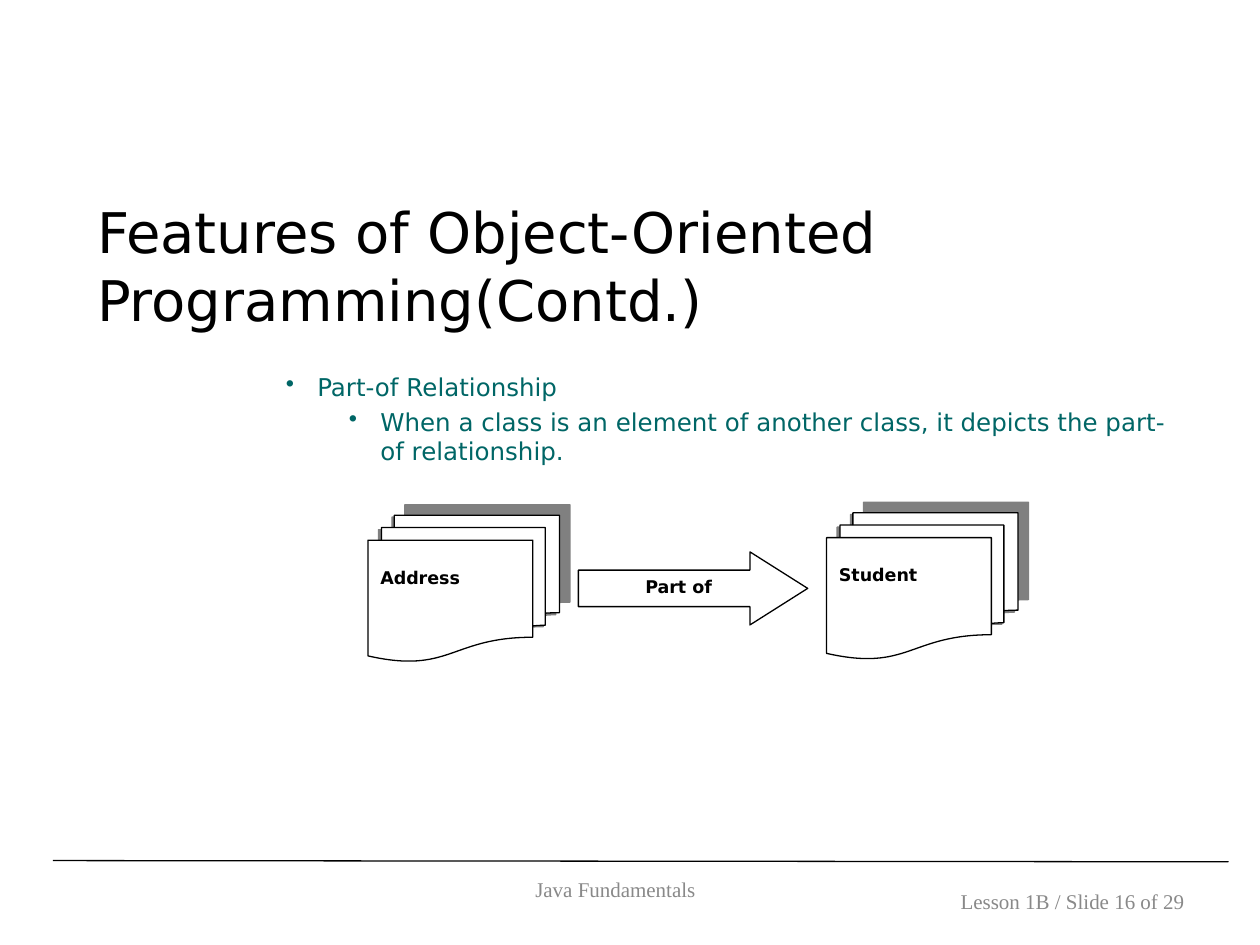
from lxml import etree
from pptx import Presentation
from pptx import util as u
from pptx.dml.color import RGBColor
from pptx.enum import shapes, text
from pptx.oxml import ns

COLOURS = {"ink": "000000", "paper": "FFFFFF", "teal": "006666",
           "footer": "898989", "shadow": "808080"}
SANS, SERIF = "DejaVu Sans", "Times New Roman"
LEFT, RIGHT = 0.67, 9.5  # content margins in inches
ALIGN, ANCHOR = text.PP_ALIGN, text.MSO_ANCHOR

TITLE = "Features of Object-Oriented Programming(Contd.)"
BULLETS = [
    (0, "Part-of Relationship"),
    (1, "When a class is an element of another class, "
        "it depicts the part-of relationship."),
]
CLASSES = [("Address", 2.92, 4.09), ("Student", 6.56, 4.07)]
RELATION = ("Part of", (4.59, 4.38, 1.82, 0.58))
FOOTERS = [
    ("Java Fundamentals", (3.3, 6.86, 3.17, 0.4), ALIGN.CENTER),
    ("Lesson 1B / Slide 16 of 29", (7.17, 6.95, 2.33, 0.4), ALIGN.RIGHT),
]
LABEL = {"name": SANS, "size": u.Pt(10), "bold": True}


def colour(key):
    return RGBColor.from_string(COLOURS[key])


def inches(box):
    return [u.Inches(length) for length in box]


def set_all(target, values):
    for name, value in values.items():
        setattr(target, name, value)


def write(paragraph, words, ink, font, align=ALIGN.LEFT):
    run = paragraph.add_run()
    run.text = words
    paragraph.alignment = align
    set_all(run.font, font)
    run.font.color.rgb = colour(ink)


def add_xml(parent, tag, **attributes):
    return etree.SubElement(parent, ns.qn(tag), attributes)


def add_bullet(paragraph, level):
    properties = paragraph._p.get_or_add_pPr()
    properties.set("marL", str(u.Inches(0.25 + 0.5 * level)))
    properties.set("indent", str(-u.Inches(0.25)))
    add_xml(add_xml(properties, "a:buClr"), "a:srgbClr", val=COLOURS["teal"])
    add_xml(properties, "a:buChar", char="•")


def add_box(slide, box, anchor):
    frame = slide.shapes.add_textbox(*inches(box)).text_frame
    set_all(frame, {"word_wrap": True, "vertical_anchor": anchor})
    return frame


def add_outlined(slide, kind, box, words, align, top_inset=0.05):
    shape = slide.shapes.add_shape(kind, *inches(box))
    shape.shadow.inherit = False
    shape.fill.solid()
    shape.fill.fore_color.rgb = colour("paper")
    shape.line.color.rgb = colour("ink")
    shape.line.width = u.Pt(0.75)
    frame = shape.text_frame
    set_all(frame, {"vertical_anchor": ANCHOR.TOP,
                    "margin_top": u.Inches(top_inset)})
    write(frame.paragraphs[0], words, "ink", LABEL, align)
    return shape


def add_hard_shadow(shape):
    effects = shape._element.spPr.find(ns.qn("a:effectLst"))
    shadow = add_xml(effects, "a:outerShdw", dist=str(u.Pt(8.5)),
                     dir=str(315 * 60000), algn="ctr", rotWithShape="0")
    add_xml(shadow, "a:srgbClr", val=COLOURS["shadow"])


def main():
    deck = Presentation()
    deck.slide_width, deck.slide_height = u.Inches(10), u.Inches(7.5)
    slide = deck.slides.add_slide(deck.slide_layouts[5])

    title = slide.shapes.title
    set_all(title, dict(zip(("left", "top", "width", "height"),
                            inches((LEFT, 1.52, RIGHT - LEFT, 1.2)))))
    set_all(title.text_frame, {"vertical_anchor": ANCHOR.TOP, "word_wrap": True,
                               "auto_size": text.MSO_AUTO_SIZE.NONE})
    write(title.text_frame.paragraphs[0], TITLE, "ink",
          {"name": SANS, "size": u.Pt(32)})

    bullets_left = LEFT + 1.5
    frame = add_box(slide, (bullets_left, 2.9, RIGHT - bullets_left, 0.9),
                    ANCHOR.TOP)
    for level, words in BULLETS:
        paragraph = frame.add_paragraph() if level else frame.paragraphs[0]
        set_all(paragraph, {"level": level, "space_before": u.Pt(3.5)})
        write(paragraph, words, "teal", {"name": SANS, "size": u.Pt(14)})
        add_bullet(paragraph, level)

    for name, left, top in CLASSES:
        add_hard_shadow(add_outlined(
            slide, shapes.MSO_SHAPE.FLOWCHART_MULTIDOCUMENT,
            (left, top, 1.52, 1.16), name, ALIGN.LEFT, top_inset=0.21))
    words, box = RELATION
    arrow = add_outlined(slide, shapes.MSO_SHAPE.RIGHT_ARROW, box, words,
                         ALIGN.CENTER)
    arrow.adjustments[1] = 0.79

    rule = slide.shapes.add_connector(shapes.MSO_CONNECTOR.STRAIGHT,
                                      *inches((0.42, 6.83, 9.75, 6.84)))
    rule.line.color.rgb = colour("ink")
    rule.line.width = u.Pt(0.75)
    add_xml(rule._element.spPr, "a:effectLst")

    for words, box, align in FOOTERS:
        write(add_box(slide, box, ANCHOR.MIDDLE).paragraphs[0], words, "footer",
              {"name": SERIF, "size": u.Pt(12)}, align)

    deck.save("out.pptx")


if __name__ == "__main__":
    main()
